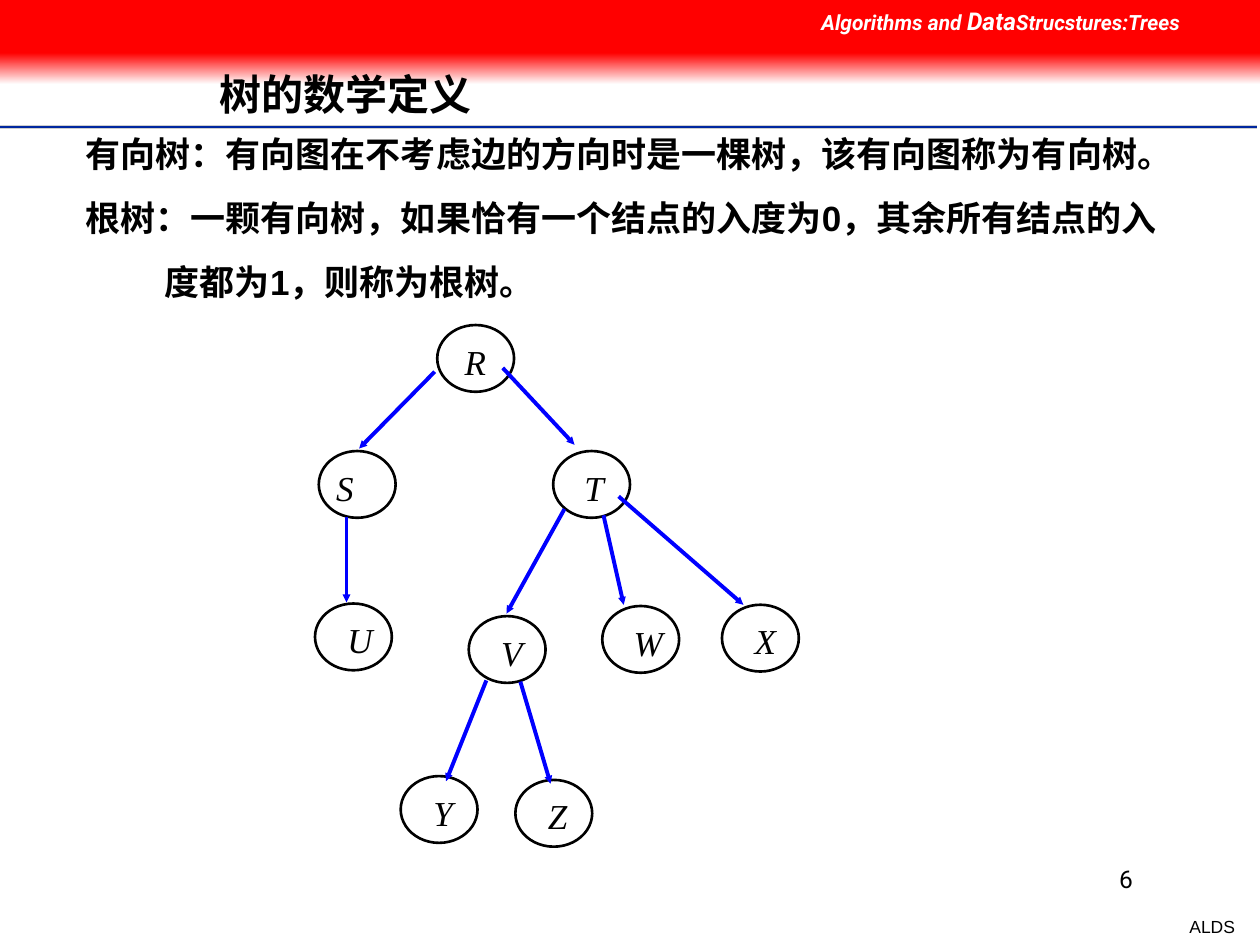
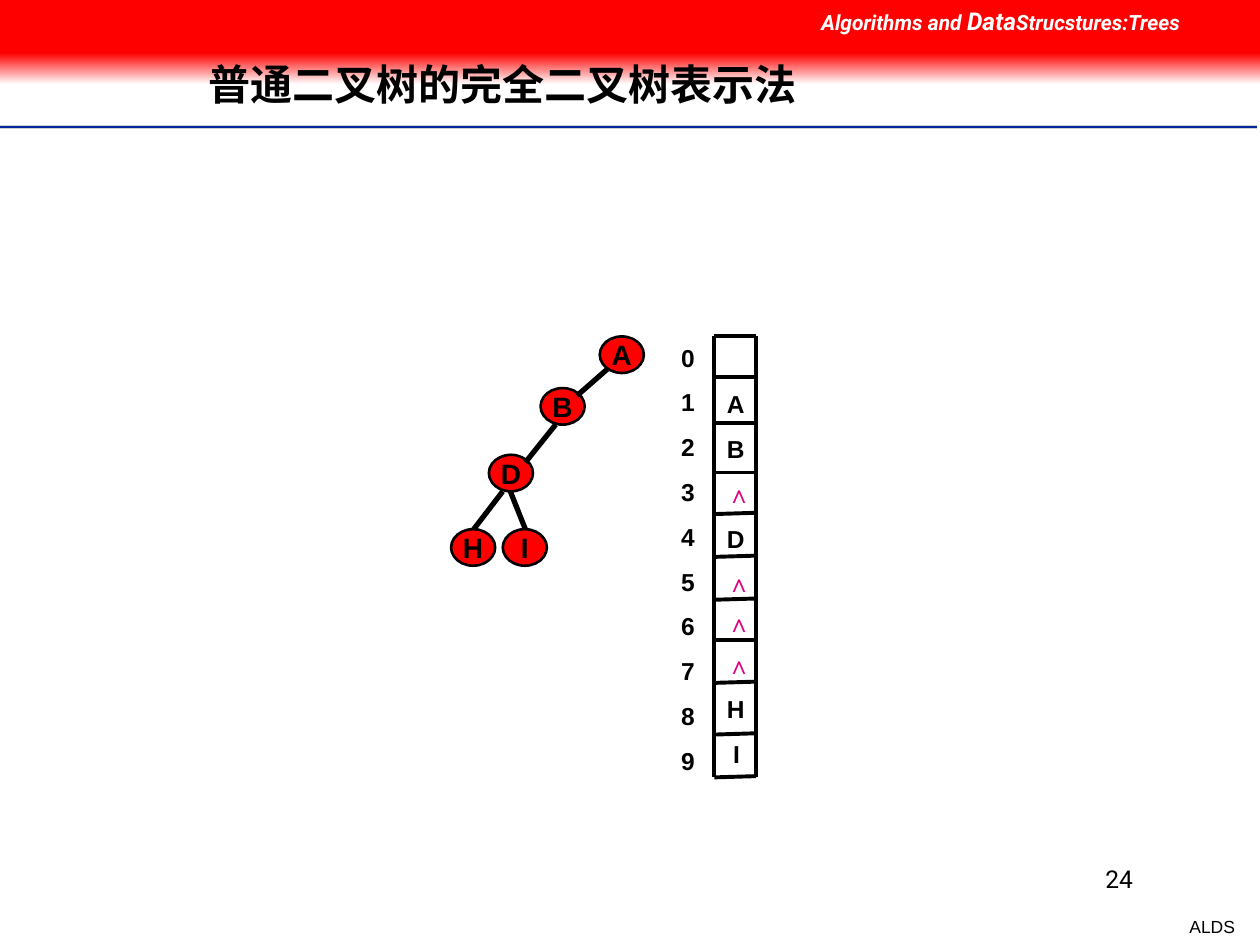
"""Builds two slides on trees: the rooted tree and the array form of a binary tree."""
from lxml import etree
from pptx import Presentation
from pptx.dml.color import RGBColor
from pptx.enum.shapes import MSO_CONNECTOR, MSO_SHAPE
from pptx.enum.text import MSO_ANCHOR, PP_ALIGN
from pptx.oxml.ns import qn
from pptx.util import Inches, Pt

BLACK, WHITE, RED, BLUE = "000000", "FFFFFF", "FF0000", "0000FF"
NAVY, GREY, PINK = "00279F", "CECECE", "DC0081"
LATIN, HEAD, CJK, SERIF = "Arial", "Roboto", "Noto Sans CJK SC", "Times New Roman"


def rgb(color):
    return RGBColor.from_string(color)


class Deck:
    def __init__(self):
        self.prs = Presentation()
        self.prs.slide_width, self.prs.slide_height = Inches(10), Inches(7.5)
        self.s = None

    def style(self, p, size, font=LATIN, color=BLACK, bold=False, italic=False):
        p.font.size, p.font.name = Pt(size), font
        p.font.bold, p.font.italic = bold, italic
        p.font.color.rgb = rgb(color)

    def text(self, x, y, w, h, lines, size, align=PP_ALIGN.LEFT, before=0,
             leading=None, anchor=MSO_ANCHOR.TOP, inset=True, wrap=True, **font):
        sp = self.s.shapes.add_textbox(Inches(x), Inches(y), Inches(w), Inches(h))
        tf = sp.text_frame
        tf.word_wrap, tf.vertical_anchor = wrap, anchor
        if not inset:
            tf.margin_left = tf.margin_right = tf.margin_top = tf.margin_bottom = 0
        for i, line in enumerate(lines):
            p = tf.add_paragraph() if i else tf.paragraphs[0]
            p.text, p.alignment = line, align
            if i and before:
                p.space_before = Pt(before)
            if leading:
                p.line_spacing = leading
            self.style(p, size, **font)
        return tf.paragraphs

    def shape(self, kind, x, y, w, h, fill=None, line=None):
        sp = self.s.shapes.add_shape(kind, Inches(x), Inches(y), Inches(w), Inches(h))
        sp.shadow.inherit = False
        if fill:
            sp.fill.solid()
            sp.fill.fore_color.rgb = rgb(fill)
        else:
            sp.fill.background()
        if line:
            sp.line.color.rgb, sp.line.width = rgb(line), Pt(1.5)
        else:
            sp.line.fill.background()
        return sp

    def line(self, x1, y1, x2, y2, color=BLACK, width=2.25, arrow=False):
        c = self.s.shapes.add_connector(
            MSO_CONNECTOR.STRAIGHT, Inches(x1), Inches(y1), Inches(x2), Inches(y2))
        c.line.color.rgb, c.line.width = rgb(color), Pt(width)
        if arrow:
            etree.SubElement(c.line._get_or_add_ln(), qn("a:tailEnd"),
                             type="triangle", w="sm", len="sm")
        etree.SubElement(c._element.spPr, qn("a:effectLst"))

    def fade(self, x, y, w, h, top, bottom):
        sp = self.shape(MSO_SHAPE.RECTANGLE, x, y, w, h)
        sp.fill.gradient()
        sp.fill.gradient_angle = 270
        for stop, color in zip(sp.fill.gradient_stops, (top, bottom)):
            stop.color.rgb = rgb(color)

    def header(self):
        p = self.text(6.42, 0, 3.58, 0.34, [""], 12, font=HEAD, color=WHITE,
                      bold=True, italic=True)[0]
        for words in ("Algorithms and ", "Data", "Strucstures:Trees"):
            r = p.add_run()
            r.text = words
            if words == "Data":
                r.font.size = Pt(14)

    def slide(self, number, title, x, y, w, inset=True, font=LATIN):
        self.s = self.prs.slides.add_slide(self.prs.slide_layouts[6])
        for rule_y, color, width in ((1.01, GREY, 2), (1.01, NAVY, 1), (1.03, WHITE, 1)):
            self.line(0, rule_y, 9.98, rule_y, color, width)
        self.text(9.34, 7.22, 0.56, 0.27, ["ALDS"], 10, PP_ALIGN.RIGHT, wrap=False)
        self.text(7.17, 6.81, 1.92, 0.5, [str(number)], 14, PP_ALIGN.RIGHT, font=HEAD)
        self.fade(0, 0.42, 10, 0.25, RED, WHITE)
        self.shape(MSO_SHAPE.RECTANGLE, 0, 0, 10, 0.42, RED)
        self.header()
        self.text(x, y, w, 0.74, [title], 24, leading=0.9, anchor=MSO_ANCHOR.MIDDLE,
                  inset=inset, font=font, bold=True)

    def open_node(self, name, x, y, dx, w):
        self.shape(MSO_SHAPE.OVAL, x, y, 0.61, 0.53, line=BLACK)
        self.text(x + dx, y + 0.07, w, 0.44, [name], 20, wrap=False,
                  font=SERIF, italic=True)

    def red_node(self, name, x, y):
        sp = self.shape(MSO_SHAPE.OVAL, x, y, 0.35, 0.29, RED, BLACK)
        tf = sp.text_frame
        tf.word_wrap, tf.vertical_anchor = False, MSO_ANCHOR.MIDDLE
        p = tf.paragraphs[0]
        p.text, p.alignment = name, PP_ALIGN.CENTER
        self.style(p, 16, bold=True)


def rooted_tree(deck):
    deck.slide(6, "树的数学定义", 1.74, 0.4, 7.83, inset=False)
    ps = deck.text(0.58, 1, 8.92, 1.45, [
        "有向树：有向图在不考虑边的方向时是一棵树，该有向图称为有向树。",
        "根树：一颗有向树，如果恰有一个结点的入度为0，其余所有结点的入",
        "度都为1，则称为根树。",
    ], 20, before=12.5, leading=Pt(24), bold=True)
    ps[2]._p.get_or_add_pPr().set("marL", str(Inches(0.63)))

    nodes = [
        ("R", 3.47, 2.58, 0.12, 0.37), ("S", 2.53, 3.58, 0.04, 0.34),
        ("T", 4.39, 3.58, 0.15, 0.35), ("U", 2.5, 4.79, 0.16, 0.4),
        ("V", 3.72, 4.89, 0.16, 0.37), ("Y", 3.18, 6.16, 0.16, 0.35),
        ("W", 4.78, 4.81, 0.15, 0.43), ("X", 5.73, 4.8, 0.16, 0.37),
        ("Z", 4.09, 6.19, 0.16, 0.35),
    ]
    for node in nodes:
        deck.open_node(*node)
    edges = [
        (3.45, 2.95, 2.85, 3.56), (2.75, 4.1, 2.75, 4.78), (3.99, 2.92, 4.56, 3.53),
        (4.48, 4.04, 4.02, 4.87), (4.79, 4.09, 4.95, 4.8), (4.91, 3.94, 5.9, 4.8),
        (4.13, 5.41, 4.37, 6.22), (3.86, 5.4, 3.54, 6.2),
    ]
    for edge in edges:
        deck.line(*edge, color=BLUE, arrow=True)


def array_form(deck):
    deck.slide(24, "普通二叉树的完全二叉树表示法", 1.56, 0.32, 7.55, font=CJK)
    column = dict(size=14, before=8.8, leading=Pt(16.8), bold=True)
    cells = deck.text(5.67, 3.04, 0.58, 3.12, list("AB∧D∧∧∧HI"), **column)
    for p in cells:
        if p.text == "∧":
            p.font.color.rgb = rgb(PINK)
    cells[5].space_before, cells[6].space_before = Pt(6), Pt(6.8)
    cells[8]._p.get_or_add_pPr().set("marL", str(Inches(0.05)))
    deck.text(5.25, 2.67, 0.42, 3.53, [str(i) for i in range(10)],
              align=PP_ALIGN.CENTER, **column)

    left, right, top, bottom = 5.67, 6, 2.67, 6.17
    for x in (left, right):
        deck.line(x, top, x, bottom)
    for y in (top, 2.99, 3.36, 3.75, 5.08):
        deck.line(left, y, right, y)
    for y in (4.08, 4.42, 4.76, 5.42, 5.83, bottom):
        deck.line(left, y, right, y - 0.01)

    for node in (("A", 4.76, 2.67), ("B", 4.29, 3.08), ("D", 3.88, 3.61),
                 ("H", 3.58, 4.2), ("I", 3.99, 4.2)):
        deck.red_node(*node)
    for edge in ((4.82, 2.93, 4.58, 3.14), (4.41, 3.37, 4.17, 3.67),
                 (4.05, 3.9, 4.17, 4.2), (3.99, 3.9, 3.76, 4.2)):
        deck.line(*edge, width=3)


def main():
    deck = Deck()
    rooted_tree(deck)
    array_form(deck)
    deck.prs.save("out.pptx")


if __name__ == "__main__":
    main()
